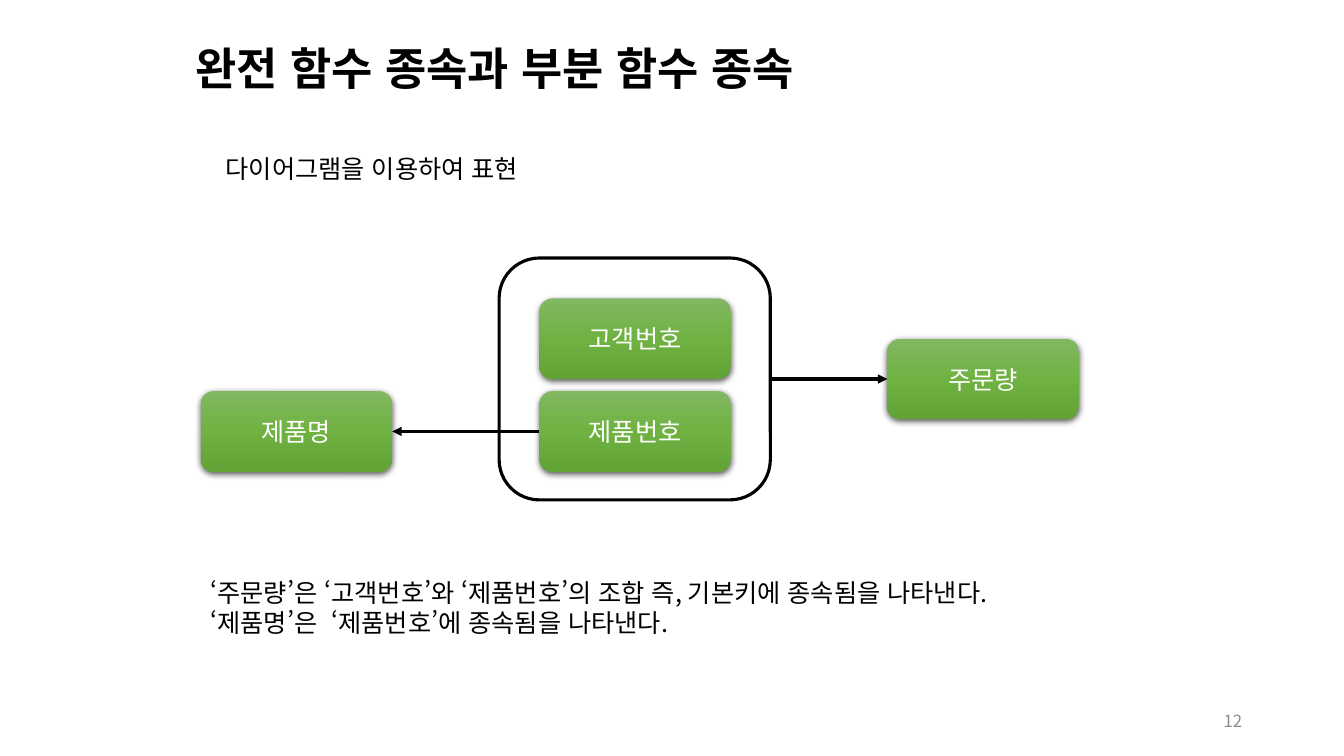
from lxml import etree
from pptx import Presentation
from pptx.dml.color import RGBColor
from pptx.enum.lang import MSO_LANGUAGE_ID
from pptx.enum.shapes import MSO_CONNECTOR, MSO_SHAPE
from pptx.enum.text import MSO_ANCHOR, PP_ALIGN
from pptx.oxml import parse_xml
from pptx.oxml.ns import nsdecls, qn
from pptx.util import Inches, Pt

ROUND, LINE = MSO_SHAPE.ROUNDED_RECTANGLE, MSO_CONNECTOR.STRAIGHT
LEFT, MID, RIGHT = PP_ALIGN.LEFT, PP_ALIGN.CENTER, PP_ALIGN.RIGHT
TOP, CENTER = MSO_ANCHOR.TOP, MSO_ANCHOR.MIDDLE
KOREAN = MSO_LANGUAGE_ID.KOREAN

# Content: text blocks as (lines, area, style)
TITLE = "완전 함수 종속과 부분 함수 종속"
LEAD = "다이어그램을 이용하여 표현"
NOTES = ["‘주문량’은 ‘고객번호’와 ‘제품번호’의 조합 즉, 기본키에 종속됨을 나타낸다.",
         "‘제품명’은  ‘제품번호’에 종속됨을 나타낸다."]
BLOCKS = [([TITLE], (1.84, 0.21, 9.79, 0.99), "title"),
          ([LEAD], (2.14, 1.47, 3.72, 0.4), "body"),
          (NOTES, (1.99, 5.68, 9.04, 0.71), "body"),
          (["12"], (9.42, 6.95, 3, 0.4), "page")]
KEYS = ["고객번호", "제품번호"]
NAME, COUNT = "제품명", "주문량"

THEME = {
    "font": "Noto Sans CJK KR", "ink": "000000", "stroke": 2.25,
    "grad": [(0, "81B861"), (50, "6FB242"), (100, "62A336")],
    # size, colour, bold, alignment, anchor, line spacing
    "title": (32, "000000", True, LEFT, CENTER, 0.9),
    "body": (18, "000000", False, LEFT, TOP, 1.0),
    "box": (18, "FFFFFF", False, MID, CENTER, 1.0),
    "page": (12, "8C8C8C", False, RIGHT, CENTER, 1.0),
}

# Diagram grid, in inches
BOX_W, BOX_H, GAP, PAD = 1.9, 0.8, 0.12, 0.4
KEY_X, KEY_Y = 5.35, 2.96
NAME_X, COUNT_X = 1.99, 8.8
STEP = BOX_H + GAP
FRAME = (KEY_X - PAD, KEY_Y - PAD, 2.69, 2.4)

deck = Presentation()
deck.slide_width, deck.slide_height = Inches(13.33), Inches(7.5)
shapes = deck.slides.add_slide(deck.slide_layouts[6]).shapes


def write(shape, lines, style):
    size, color, bold, align, anchor, space = THEME[style]
    frame = shape.text_frame
    frame.word_wrap, frame.vertical_anchor = True, anchor
    frame.text = "\n".join(lines)
    for para in frame.paragraphs:
        para.alignment, para.line_spacing = align, space
        for run in para.runs:
            font = run.font
            font.size, font.bold, font.name = Pt(size), bold, THEME["font"]
            font.color.rgb = RGBColor.from_string(color)
            # Hangul takes the East Asian typeface and Korean quote marks
            font.language_id = KOREAN
            east = etree.SubElement(font._element, qn("a:ea"))
            east.set("typeface", THEME["font"])


def add_box(label, x, y):
    box = shapes.add_shape(ROUND, *map(Inches, (x, y, BOX_W, BOX_H)))
    box.line.fill.background()
    stops = "".join(f'<a:gs pos="{at * 1000}"><a:srgbClr val="{color}"/></a:gs>'
                    for at, color in THEME["grad"])
    props = box._element.spPr
    props.find(qn("a:prstGeom")).addnext(parse_xml(
        f'<a:gradFill {nsdecls("a")} rotWithShape="1"><a:gsLst>{stops}</a:gsLst>'
        '<a:lin ang="5400000" scaled="0"/></a:gradFill>'))
    props.append(parse_xml(
        f'<a:effectLst {nsdecls("a")}><a:outerShdw blurRad="{Pt(4.5)}" dist="{Pt(1.5)}" '
        'dir="5400000" algn="ctr" rotWithShape="0"><a:srgbClr val="000000">'
        '<a:alpha val="63000"/></a:srgbClr></a:outerShdw></a:effectLst>'))
    write(box, [label], "box")


def ink(line):
    line.color.rgb = RGBColor.from_string(THEME["ink"])
    line.width = Pt(THEME["stroke"])


def add_arrow(start, end, y):
    arrow = shapes.add_connector(LINE, *map(Inches, (start, y, end, y)))
    ink(arrow.line)
    etree.SubElement(arrow.line._get_or_add_ln(), qn("a:tailEnd")).set("type", "triangle")
    etree.SubElement(arrow._element.spPr, qn("a:effectLst"))


# Text
for lines, area, style in BLOCKS:
    write(shapes.add_textbox(*map(Inches, area)), lines, style)

# Key attributes and the product name beside the lower key
low = KEY_Y + STEP
add_box(NAME, NAME_X, low)
for row, key in enumerate(KEYS):
    add_box(key, KEY_X, KEY_Y + row * STEP)
add_arrow(KEY_X, NAME_X + BOX_W, low + BOX_H / 2)

# Frame of the combined key and the quantity it determines
frame = shapes.add_shape(ROUND, *map(Inches, FRAME))
frame.fill.background()
frame.shadow.inherit = False
ink(frame.line)
mid = FRAME[1] + FRAME[3] / 2
add_box(COUNT, COUNT_X, mid - BOX_H / 2)
add_arrow(FRAME[0] + FRAME[2], COUNT_X, mid)

deck.save("out.pptx")
